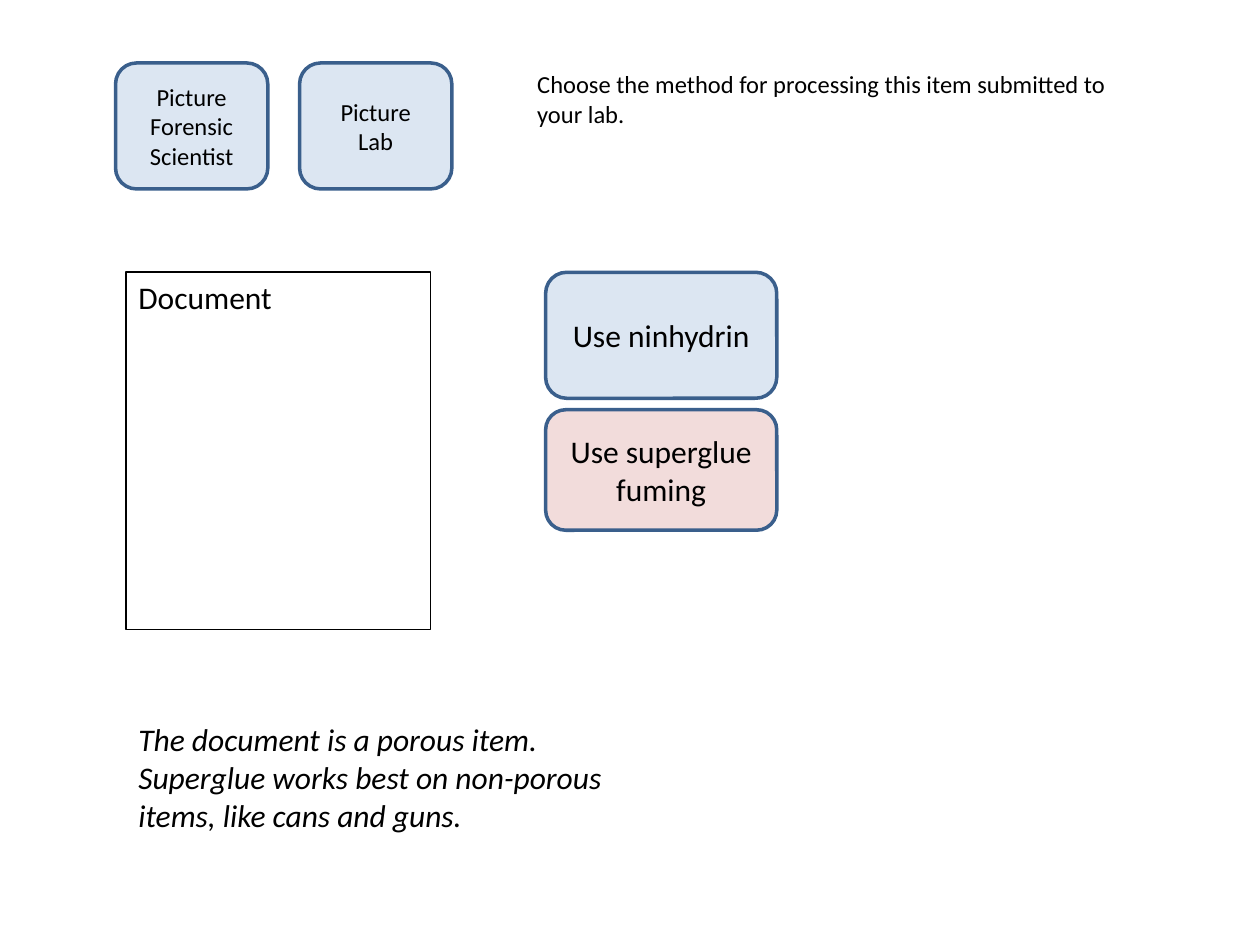
import pptx
import pptx.dml.color
import pptx.enum.shapes
import pptx.enum.text
import pptx.util
from pptx.util import Cm

COLORS = {
    "text": "000000",
    "outline": "3A5F8C",
    "blue": "DCE6F2",
    "pink": "F2DCDB",
    "frame": "000000",
}
FONT = "Calibri"
SHAPES = pptx.enum.shapes.MSO_SHAPE
ALIGN = pptx.enum.text.PP_ALIGN
ANCHOR = pptx.enum.text.MSO_ANCHOR


def color(name):
    return pptx.dml.color.RGBColor.from_string(COLORS[name])


def set_text(shape, text, size, align=ALIGN.LEFT, anchor=ANCHOR.TOP, italic=False):
    frame = shape.text_frame
    frame.word_wrap = True
    frame.vertical_anchor = anchor
    frame.text = text
    for paragraph in frame.paragraphs:
        paragraph.alignment = align
        for run in paragraph.runs:
            run.font.name = FONT
            run.font.size = pptx.util.Pt(size)
            run.font.italic = italic
            run.font.color.rgb = color("text")


def add_box(slide, kind, box, fill, line, width):
    shape = slide.shapes.add_shape(kind, *map(Cm, box))
    shape.shadow.inherit = False
    if fill:
        shape.fill.solid()
        shape.fill.fore_color.rgb = color(fill)
    else:
        shape.fill.background()
    shape.line.color.rgb = color(line)
    shape.line.width = pptx.util.Pt(width)
    return shape


def add_button(slide, box, text, size, fill="blue"):
    shape = add_box(slide, SHAPES.ROUNDED_RECTANGLE, box, fill, "outline", 2)
    set_text(shape, text, size, ALIGN.CENTER, ANCHOR.MIDDLE)


def add_note(slide, box, text, size, italic=False):
    set_text(slide.shapes.add_textbox(*map(Cm, box)), text, size, italic=italic)


def add_header(slide, left, top, width, height):
    """Two picture cards on the left, the instruction on the right."""
    card_width, pitch, instruction_offset = 3.07, 3.71, 8.25
    for index, label in enumerate(["Picture\nForensic Scientist", "Picture\nLab"]):
        add_button(slide, (left + index * pitch, top, card_width, height), label, 14)
    add_note(slide, (left + instruction_offset, top, width - instruction_offset, 1.45),
             "Choose the method for processing this item submitted to your lab.", 14)


def add_document(slide, left, top, width, height):
    shape = add_box(slide, SHAPES.RECTANGLE, (left, top, width, height), None, "frame", 1)
    set_text(shape, "Document", 18)


def add_choices(slide, left, top, width, height):
    """Answer buttons stacked from the top to the bottom of the box."""
    first_height, second_height = 2.54, 2.43
    add_button(slide, (left, top, width, first_height), "Use ninhydrin", 18)
    add_button(slide, (left, top + height - second_height, width, second_height),
               "Use superglue fuming", 18, "pink")


def main():
    presentation = pptx.Presentation()
    presentation.slide_width = Cm(25.4)
    presentation.slide_height = Cm(19.05)
    slide = presentation.slides.add_slide(presentation.slide_layouts[6])

    # Header row
    add_header(slide, 2.33, 1.27, 20.53, 2.54)

    # Item and the methods to choose from
    add_document(slide, 2.54, 5.49, 6.14, 7.2)
    add_choices(slide, 11, 5.49, 4.66, 5.2)

    # Feedback
    add_note(slide, (2.54, 14.4, 11, 2.56),
             "The document is a porous item. Superglue works best on non-porous "
             "items, like cans and guns.", 18, italic=True)

    presentation.save("out.pptx")


if __name__ == "__main__":
    main()
